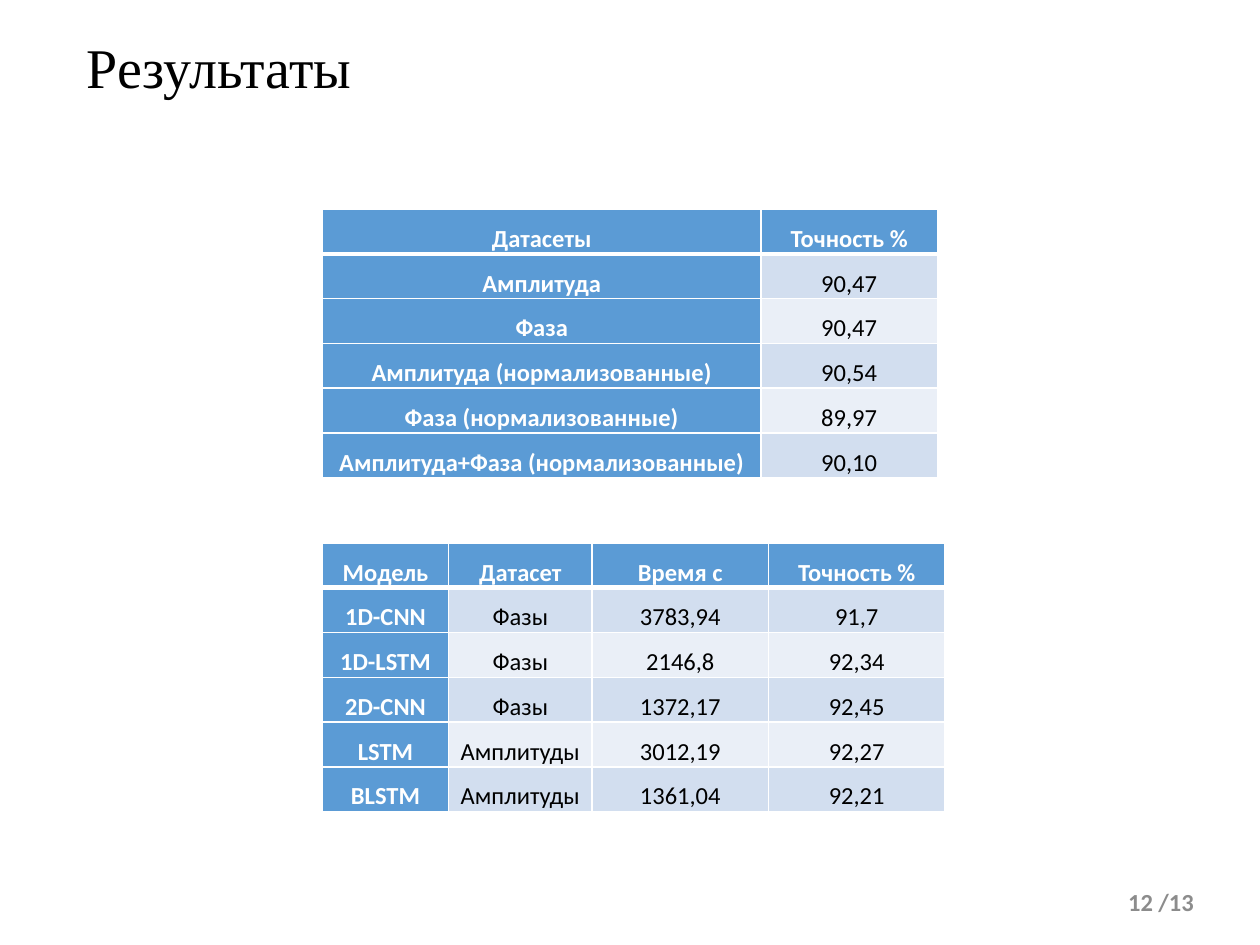
"""Build the results slide with two accuracy tables."""
from lxml import etree
from pptx import Presentation
from pptx.dml.color import RGBColor
from pptx.enum.text import MSO_ANCHOR, PP_ALIGN
from pptx.oxml.ns import qn
from pptx.util import Inches, Pt

LEFT, CENTER, RIGHT = PP_ALIGN.LEFT, PP_ALIGN.CENTER, PP_ALIGN.RIGHT
TOP, MIDDLE = MSO_ANCHOR.TOP, MSO_ANCHOR.MIDDLE
TITLE_ONLY = 5

THEME = {
    "colors": {
        "black": "000000",
        "white": "FFFFFF",
        "header": "5B9BD5",
        "bands": ("D2DEEF", "EAEFF7"),
        "footer": "8C8C8C",
    },
    "sizes": {"title": 32, "body": 14},
    "fonts": {"title": "Times New Roman", "body": "Calibri"},
    "borders": {"thin": 1, "thick": 3},
}
COLORS, SIZES, FONTS, BORDERS = (
    THEME[key] for key in ("colors", "sizes", "fonts", "borders")
)


def write_text(text_frame, text, color, alignment, role="body", bold=False, spacing=1.0):
    paragraph = text_frame.paragraphs[0]
    paragraph.alignment = alignment
    paragraph.line_spacing = spacing
    run = paragraph.add_run()
    run.text = text
    font_format = {"name": FONTS[role], "size": Pt(SIZES[role]), "bold": bold}
    for attribute, value in font_format.items():
        setattr(run.font, attribute, value)
    run.font.color.rgb = RGBColor.from_string(color)


def add_border(cell, side, width):
    line = etree.SubElement(cell._tc.get_or_add_tcPr(), qn(f"a:ln{side}"), w=str(Pt(width)))
    fill = etree.SubElement(line, qn("a:solidFill"))
    etree.SubElement(fill, qn("a:srgbClr"), val=COLORS["white"])


presentation = Presentation()
presentation.slide_width = Inches(10)
presentation.slide_height = Inches(7.5)
slide = presentation.slides.add_slide(presentation.slide_layouts[TITLE_ONLY])

title = slide.shapes.title
title_box = {"left": 0.59, "top": 0.27, "width": 8.62, "height": 1.09}
for attribute, value in title_box.items():
    setattr(title, attribute, Inches(value))
title.text_frame.vertical_anchor = TOP
write_text(title.text_frame, "Результаты", COLORS["black"], LEFT, role="title", spacing=0.9)

TABLE_LEFT, ROW_HEIGHT = 2.56, 0.35
CELL_FORMAT = {
    "margin_left": Inches(0.06),
    "margin_right": Inches(0.06),
    "margin_top": 0,
    "margin_bottom": 0,
    "vertical_anchor": TOP,
}
TABLES = [
    {
        "top": 1.66,
        "widths": (3.48, 1.4),
        "rows": [
            ("Датасеты", "Точность %"),
            ("Амплитуда", "90,47"),
            ("Фаза", "90,47"),
            ("Амплитуда (нормализованные)", "90,54"),
            ("Фаза (нормализованные)", "89,97"),
            ("Амплитуда+Фаза (нормализованные)", "90,10"),
        ],
    },
    {
        "top": 4.31,
        "widths": (1, 1.14, 1.4, 1.4),
        "rows": [
            ("Модель", "Датасет", "Время с", "Точность %"),
            ("1D-CNN", "Фазы", "3783,94", "91,7"),
            ("1D-LSTM", "Фазы", "2146,8", "92,34"),
            ("2D-CNN", "Фазы", "1372,17", "92,45"),
            ("LSTM", "Амплитуды", "3012,19", "92,27"),
            ("BLSTM", "Амплитуды", "1361,04", "92,21"),
        ],
    },
]

for table_data in TABLES:
    rows, widths = table_data["rows"], table_data["widths"]
    table = slide.shapes.add_table(
        len(rows), len(widths), Inches(TABLE_LEFT), Inches(table_data["top"]),
        Inches(sum(widths)), Inches(ROW_HEIGHT * len(rows)),
    ).table
    table.first_col = True
    for column, width in zip(table.columns, widths):
        column.width = Inches(width)
    for row_index, row in enumerate(rows):
        table.rows[row_index].height = Inches(ROW_HEIGHT)
        for column_index, text in enumerate(row):
            cell = table.cell(row_index, column_index)
            for attribute, value in CELL_FORMAT.items():
                setattr(cell, attribute, value)
            for side in "LRTB":
                under_header = (row_index, side) in ((0, "B"), (1, "T"))
                add_border(cell, side, BORDERS["thick" if under_header else "thin"])
            is_header = row_index == 0 or column_index == 0
            fill_color = COLORS["header"] if is_header else COLORS["bands"][(row_index - 1) % 2]
            cell.fill.solid()
            cell.fill.fore_color.rgb = RGBColor.from_string(fill_color)
            text_color = COLORS["white" if is_header else "black"]
            write_text(cell.text_frame, text, text_color, CENTER, bold=is_header, spacing=1.5)

FOOTER_TOP, FOOTER_HEIGHT = 6.96, 0.4
for text, left, width, alignment in (("/13", 9.07, 0.53, CENTER), ("12", 7.27, 1.98, RIGHT)):
    footer = slide.shapes.add_textbox(
        Inches(left), Inches(FOOTER_TOP), Inches(width), Inches(FOOTER_HEIGHT)
    )
    footer.text_frame.word_wrap = True
    footer.text_frame.vertical_anchor = MIDDLE
    write_text(footer.text_frame, text, COLORS["footer"], alignment, bold=True)

presentation.save("out.pptx")
